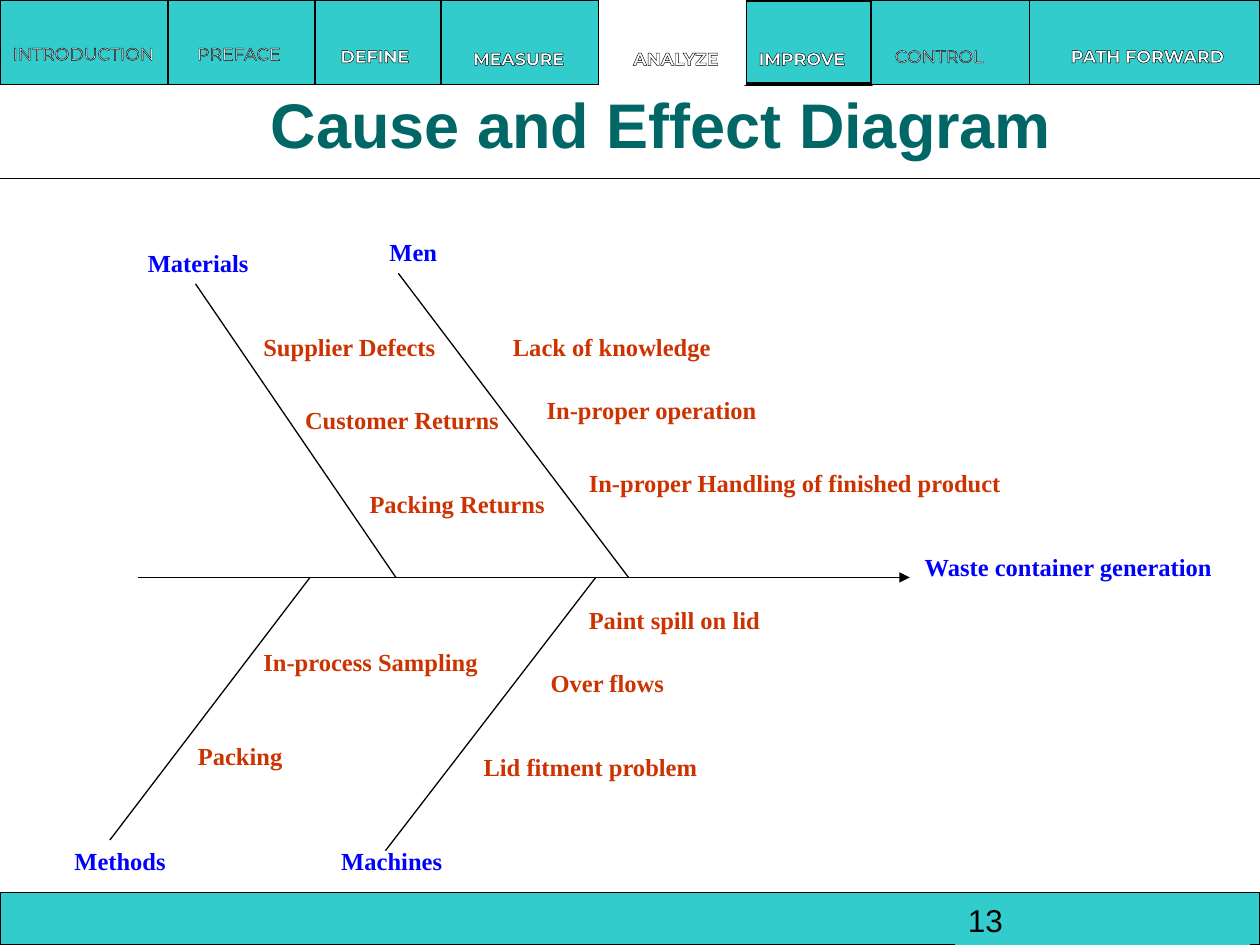
from lxml import etree
from pptx import Presentation
from pptx.dml.color import RGBColor
from pptx.enum.shapes import MSO_CONNECTOR, MSO_SHAPE
from pptx.enum.text import MSO_ANCHOR, PP_ALIGN
from pptx.oxml.ns import qn
from pptx.util import Cm, Pt

RECTANGLE = MSO_SHAPE.RECTANGLE
STRAIGHT = MSO_CONNECTOR.STRAIGHT
BOTTOM = MSO_ANCHOR.BOTTOM
CENTER = PP_ALIGN.CENTER

TEAL = RGBColor(0x33, 0xCC, 0xCC)
DARK_TEAL = RGBColor(0x00, 0x66, 0x66)
WHITE = RGBColor(0xFF, 0xFF, 0xFF)
BLACK = RGBColor(0x00, 0x00, 0x00)
BLUE = RGBColor(0x00, 0x00, 0xFF)
RUST = RGBColor(0xCC, 0x33, 0x00)

SLIDE_WIDTH = 25.4
SLIDE_HEIGHT = 19.05
HEADER_HEIGHT = 1.7
FOOTER_TOP = 17.99
RULE_Y = 3.6
SPINE_Y = 11.64

deck = Presentation()
deck.slide_width = Cm(SLIDE_WIDTH)
deck.slide_height = Cm(SLIDE_HEIGHT)
page = deck.slides.add_slide(deck.slide_layouts[6])


def add_text(text, left, top, width, height, font_name, size, color, bold=True, wrap=True):
    box = page.shapes.add_textbox(Cm(left), Cm(top), Cm(width), Cm(height))
    box.text_frame.text = text
    box.text_frame.word_wrap = wrap
    span = box.text_frame.paragraphs[0].runs[0]
    span.font.name = font_name
    span.font.size = Pt(size)
    span.font.bold = bold
    span.font.color.rgb = color
    return box


def add_line(start_x, start_y, end_x, end_y):
    line = page.shapes.add_connector(STRAIGHT, Cm(start_x), Cm(start_y), Cm(end_x), Cm(end_y))
    line.line.color.rgb = BLACK
    line.line.width = Pt(0.75)
    etree.SubElement(line._element.spPr, qn("a:effectLst"))
    return line


panels = [
    (0, 0, SLIDE_WIDTH, HEADER_HEIGHT, TEAL, BLACK, 0.75),
    (0, FOOTER_TOP, SLIDE_WIDTH, SLIDE_HEIGHT - FOOTER_TOP, TEAL, BLACK, 0.75),
    (15.03, 0, 2.54, HEADER_HEIGHT, TEAL, BLACK, 2.25),
    (12.07, 0, 2.96, HEADER_HEIGHT, WHITE, WHITE, 0.75),
    (3.39, 0, 2.96, HEADER_HEIGHT, TEAL, BLACK, 0.75),
    (8.89, 0, 3.18, HEADER_HEIGHT, TEAL, BLACK, 0.75),
    (17.57, 0, 3.18, HEADER_HEIGHT, TEAL, BLACK, 0.75),
]
for left, top, width, height, fill, border, weight in panels:
    panel = page.shapes.add_shape(RECTANGLE, Cm(left), Cm(top), Cm(width), Cm(height))
    panel.shadow.inherit = False
    panel.fill.solid()
    panel.fill.fore_color.rgb = fill
    panel.line.color.rgb = border
    panel.line.width = Pt(weight)

number = add_text("13", 19.26, 18.2, 5.93, 0.85, "Arial", 18, BLACK, bold=False)
number.text_frame.vertical_anchor = BOTTOM
number.fill.solid()
number.fill.fore_color.rgb = TEAL
number.line.color.rgb = TEAL
number.line.width = Pt(0.75)

title = add_text("Cause and Effect Diagram", 3.17, 1.7, 20.32, 1.68, "Arial", 36, DARK_TEAL)
title.text_frame.vertical_anchor = BOTTOM
title.text_frame.paragraphs[0].alignment = CENTER
add_line(0, RULE_Y, SLIDE_WIDTH, RULE_Y)

phases = [
    ("INTRODUCTION", 0.18, 0.74, 3, False),
    ("PREFACE", 3.61, 0.74, 2.41, False),
    ("DEFINE", 6.78, 0.79, 1.55, True),
    ("MEASURE", 9.53, 0.84, 1.85, True),
    ("ANALYZE", 12.7, 0.84, 1.85, True),
    ("IMPROVE", 15.24, 0.84, 1.85, True),
    ("CONTROL", 17.98, 0.79, 1.9, False),
    ("PATH FORWARD", 20.96, 0.79, 4.34, True),
]
for text, left, top, width, bold in phases:
    label = add_text(text, left, top, width, 0.48, "Montserrat", 10, WHITE, bold, wrap=False)
    label.text_frame.margin_left = label.text_frame.margin_right = 0
    label.text_frame.paragraphs[0].alignment = CENTER
    properties = label.text_frame.paragraphs[0].runs[0].font._element
    outline = etree.Element(qn("a:ln"), w=str(Pt(0.75)))
    outline_fill = etree.SubElement(outline, qn("a:solidFill"))
    etree.SubElement(outline_fill, qn("a:srgbClr"), val=str(BLACK))
    properties.insert(0, outline)

spine = add_line(2.79, SPINE_Y, 18.34, SPINE_Y)
etree.SubElement(spine.line._get_or_add_ln(), qn("a:tailEnd"), type="triangle")

bones = [
    (3.94, 5.72, 7.98),
    (8.03, 5.51, 12.67),
    (2.21, 16.94, 6.25),
    (7.77, 17.15, 12.01),
]
for outer_x, outer_y, spine_x in bones:
    add_line(outer_x, outer_y, spine_x, SPINE_Y)

categories = [
    ("Materials", 2.73, 4.88, 2.57),
    ("Men", 7.6, 4.65, 1.93),
    ("Methods", 1.25, 16.94, 2.57),
    ("Machines", 6.63, 16.94, 3.53),
    ("Waste container generation", 18.39, 11, 6.81),
]
causes = [
    ("Supplier Defects", 5.06, 6.56, 4.8),
    ("Customer Returns", 5.9, 8.05, 4.8),
    ("Packing Returns", 7.2, 9.73, 4.24),
    ("Lack of knowledge", 10.09, 6.56, 5.38),
    ("In-proper operation", 10.77, 7.83, 4.8),
    ("In-proper Handling of finished product", 11.62, 9.32, 9.12),
    ("In-process Sampling", 5.06, 12.91, 4.83),
    ("Packing", 3.74, 14.81, 4.62),
    ("Paint spill on lid", 11.62, 12.07, 4.04),
    ("Over flows", 10.85, 13.34, 2.9),
    ("Lid fitment problem", 9.5, 15.04, 5.11),
]
for labels, color in ((categories, BLUE), (causes, RUST)):
    for text, left, top, width in labels:
        label = add_text(text, left, top, width, 0.84, "Times New Roman", 14, color)
        if text == "Methods":
            label.fill.solid()
            label.fill.fore_color.rgb = WHITE

deck.save("out.pptx")
